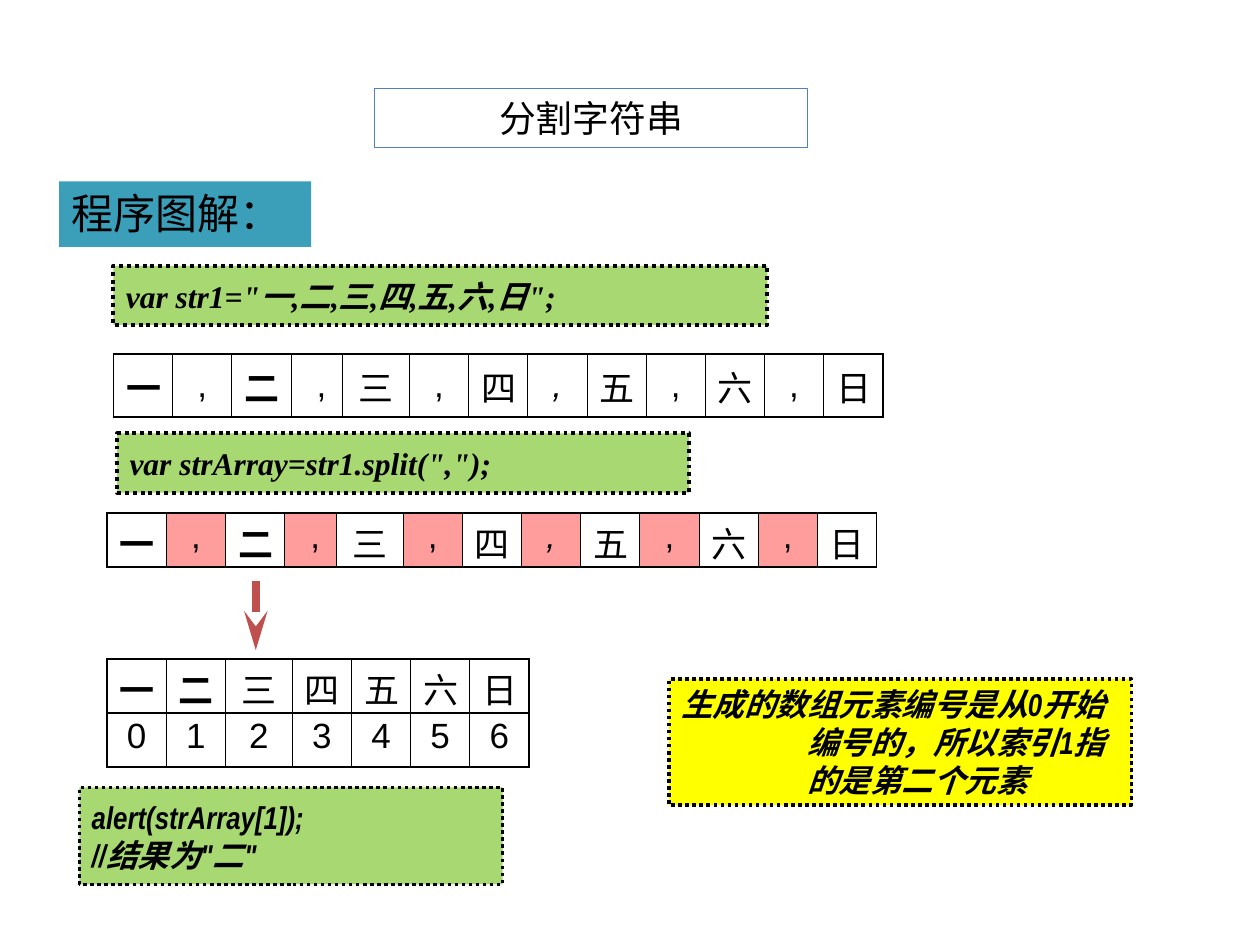
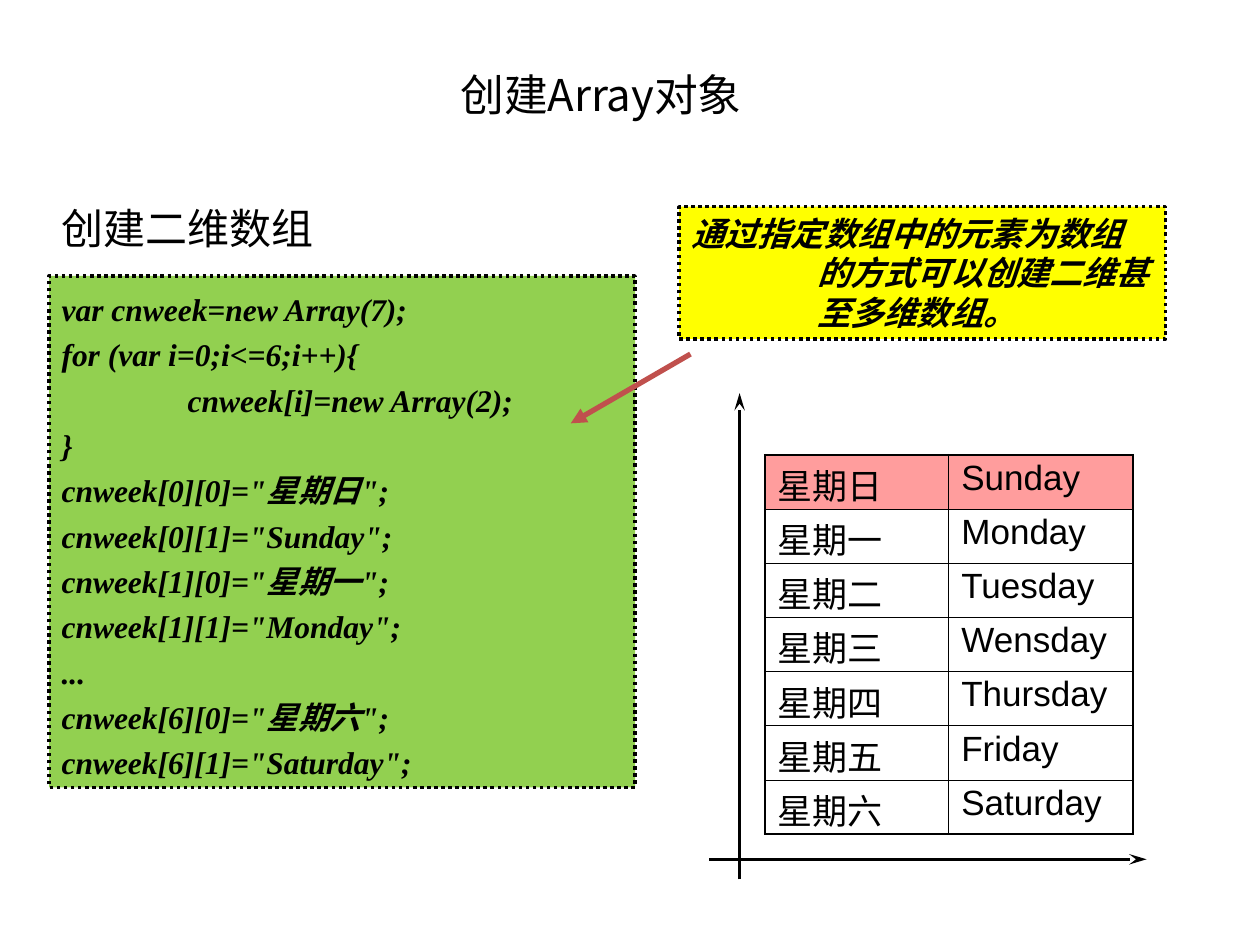
from dataclasses import dataclass
from typing import Optional

from lxml import etree
from pptx import Presentation
from pptx.dml.color import RGBColor
from pptx.enum.dml import MSO_LINE
from pptx.enum.shapes import MSO_CONNECTOR, MSO_SHAPE
from pptx.enum.text import MSO_ANCHOR, MSO_AUTO_SIZE, PP_ALIGN
from pptx.oxml.ns import qn
from pptx.util import Inches, Pt

DOTTED = MSO_LINE.ROUND_DOT
STRAIGHT = MSO_CONNECTOR.STRAIGHT
RECT = MSO_SHAPE.RECTANGLE
TOP, MIDDLE = MSO_ANCHOR.TOP, MSO_ANCHOR.MIDDLE
LEFT, CENTER = PP_ALIGN.LEFT, PP_ALIGN.CENTER
NO_FIT = MSO_AUTO_SIZE.NONE


@dataclass(frozen=True)
class Theme:
    black: str = "000000"
    white: str = "FFFFFF"
    title_line: str = "4F81BD"
    heading: str = "3B9FBA"
    code: str = "A7D872"
    listing: str = "92D050"
    note: str = "FFFF00"
    marked: str = "FF9D9D"
    arrow: str = "C0504D"
    title_font: str = "Noto Sans CJK SC"
    code_font: str = "Times New Roman"
    note_font: str = "Arial Narrow"
    table_font: str = "Arial"
    heading_size: float = 24
    code_size: float = 18
    table_size: float = 20
    outer_border: float = 1.08
    inner_border: float = 0.45


T = Theme()


@dataclass(frozen=True)
class Box:
    left: float
    top: float
    width: float
    height: float

    def lengths(self) -> list:
        return [Inches(v) for v in (self.left, self.top, self.width, self.height)]


@dataclass(frozen=True)
class Panel:
    box: Box
    lines: tuple
    fill: str = T.code
    font: str = T.code_font
    size: float = T.code_size
    line_width: float = 2
    anchor: MSO_ANCHOR = MIDDLE
    spacing: Optional[float] = None


@dataclass(frozen=True)
class Grid:
    left: float
    top: float
    widths: tuple
    rows: tuple
    row_height: float = 0.43
    align: PP_ALIGN = CENTER
    anchor: MSO_ANCHOR = TOP
    margin_top: float = 0.03
    margin_bottom: float = 0
    row_border: float = T.inner_border
    marked: frozenset = frozenset()
    bold: frozenset = frozenset()
    italic: frozenset = frozenset()


@dataclass(frozen=True)
class Arrow:
    start: tuple
    end: tuple
    color: str = T.black
    width: float = 2
    head: str = "stealth"
    length: str = "lg"


def rgb(value: str) -> RGBColor:
    return RGBColor.from_string(value)


def style(p, font: str, size: float, bold: bool = False, italic: bool = False) -> None:
    p.font.name = font
    p.font.size = Pt(size)
    p.font.bold = bold
    p.font.italic = italic
    p.font.color.rgb = rgb(T.black)


def hang(p, indent: float) -> None:
    pPr = p._p.get_or_add_pPr()
    pPr.set("marL", str(Inches(indent)))
    pPr.set("indent", str(-Inches(indent)))


def add_title(slide, box: Box, text: str, size: float, framed: bool = False) -> None:
    sp = slide.shapes.title
    sp.left, sp.top, sp.width, sp.height = box.lengths()
    if framed:
        sp.fill.solid()
        sp.fill.fore_color.rgb = rgb(T.white)
        sp.line.color.rgb = rgb(T.title_line)
        sp.line.width = Pt(0.75)
    tf = sp.text_frame
    tf.text = text
    tf.word_wrap = True
    tf.auto_size = NO_FIT
    tf.vertical_anchor = MIDDLE
    p = tf.paragraphs[0]
    p.alignment = CENTER
    style(p, T.title_font, size)


def add_heading(slide, box: Box, text: str, fill: Optional[str] = None) -> None:
    sp = slide.shapes.add_textbox(*box.lengths())
    if fill:
        sp.fill.solid()
        sp.fill.fore_color.rgb = rgb(fill)
    tf = sp.text_frame
    tf.word_wrap = True
    tf.text = text
    p = tf.paragraphs[0]
    hang(p, 0.38)
    style(p, T.title_font, T.heading_size)


def add_panel(slide, panel: Panel) -> None:
    sp = slide.shapes.add_shape(RECT, *panel.box.lengths())
    sp.shadow.inherit = False
    sp.fill.solid()
    sp.fill.fore_color.rgb = rgb(panel.fill)
    sp.line.color.rgb = rgb(T.black)
    sp.line.width = Pt(panel.line_width)
    sp.line.dash_style = DOTTED
    tf = sp.text_frame
    tf.word_wrap = True
    tf.vertical_anchor = panel.anchor
    tf.text = "\n".join(panel.lines)
    for p in tf.paragraphs:
        p.alignment = LEFT
        if panel.spacing:
            p.line_spacing = panel.spacing
        hang(p, 1)
        style(p, panel.font, panel.size, bold=True, italic=True)


def add_border(cell, side: str, width: float) -> None:
    ln = etree.SubElement(cell._tc.get_or_add_tcPr(), qn(f"a:ln{side}"), w=str(Pt(width)))
    fill = etree.SubElement(ln, qn("a:solidFill"))
    etree.SubElement(fill, qn("a:srgbClr"), val=T.black)


def add_grid(slide, grid: Grid) -> None:
    n_rows, n_cols = len(grid.rows), len(grid.widths)
    box = Box(grid.left, grid.top, sum(grid.widths), n_rows * grid.row_height)
    table = slide.shapes.add_table(n_rows, n_cols, *box.lengths()).table
    table.first_row = table.horz_banding = False
    for column, width in zip(table.columns, grid.widths):
        column.width = Inches(width)
    for r, texts in enumerate(grid.rows):
        table.rows[r].height = Inches(grid.row_height)
        for c, text in enumerate(texts):
            cell = table.cell(r, c)
            cell.vertical_anchor = grid.anchor
            cell.margin_top = Inches(grid.margin_top)
            cell.margin_bottom = Inches(grid.margin_bottom)
            edges = {
                "L": T.outer_border if c == 0 else T.inner_border,
                "R": T.outer_border if c == n_cols - 1 else T.inner_border,
                "T": T.outer_border if r == 0 else grid.row_border,
                "B": T.outer_border if r == n_rows - 1 else grid.row_border,
            }
            for side, width in edges.items():
                add_border(cell, side, width)
            if (r, c) in grid.marked:
                cell.fill.solid()
                cell.fill.fore_color.rgb = rgb(T.marked)
            else:
                cell.fill.background()
            cell.text = text
            p = cell.text_frame.paragraphs[0]
            p.alignment = grid.align
            style(p, T.table_font, T.table_size, (r, c) in grid.bold, (r, c) in grid.italic)


def add_arrow(slide, arrow: Arrow) -> None:
    ends = [Inches(v) for v in (*arrow.start, *arrow.end)]
    cn = slide.shapes.add_connector(STRAIGHT, *ends)
    cn.line.color.rgb = rgb(arrow.color)
    cn.line.width = Pt(arrow.width)
    etree.SubElement(cn.line._get_or_add_ln(), qn("a:tailEnd"),
                     type=arrow.head, w="med", len=arrow.length)
    etree.SubElement(cn._element.spPr, qn("a:effectLst"))


def build_split(slide) -> None:
    add_title(slide, Box(2.97, 0.7, 3.44, 0.47), "分割字符串", 21, framed=True)
    add_heading(slide, Box(0.47, 1.44, 2, 0.52), "程序图解：", T.heading)

    days = "一二三四五六日"
    chars = list(",".join(days))
    chars[3] = " ,"
    char_widths = (0.47,) * 3 + (0.41, 0.53) + (0.47,) * 8
    bold, italic = frozenset({(0, 0), (0, 2)}), frozenset({(0, 7)})
    commas = frozenset((0, c) for c in range(1, len(chars), 2))

    add_grid(slide, Grid(0.9, 2.81, char_widths, (chars,), row_height=0.5, anchor=MIDDLE,
                         margin_top=0.05, margin_bottom=0.05, bold=bold, italic=italic))
    panels = (
        Panel(Box(0.9, 2.11, 5.19, 0.47), ('var str1="一,二,三,四,五,六,日";',), line_width=2.25),
        Panel(Box(0.93, 3.44, 4.54, 0.47), ('var strArray=str1.split(",");',), line_width=2.25),
        Panel(Box(0.63, 6.25, 3.36, 0.77), ("alert(strArray[1]);", '//结果为"二"'),
              font=T.note_font),
        Panel(Box(5.31, 5.39, 3.67, 1), ("生成的数组元素编号是从0开始编号的，所以索引1指的是第二个元素",),
              fill=T.note, font=T.note_font, anchor=TOP),
    )
    for panel in panels:
        add_panel(slide, panel)
    add_grid(slide, Grid(0.85, 4.07, char_widths, (chars,),
                         marked=commas, bold=bold, italic=italic))
    add_arrow(slide, Arrow((2.03, 4.61), (2.03, 5.16), T.arrow, 4.5))
    add_grid(slide, Grid(0.85, 5.23, (0.47,) * 2 + (0.53,) + (0.47,) * 4,
                         (days, "0123456"), row_border=T.outer_border,
                         bold=frozenset({(0, 0), (0, 1)})))


def build_array(slide) -> None:
    add_title(slide, Box(2.58, 0.47, 4.38, 0.55), "创建Array对象", 25)
    add_heading(slide, Box(0.39, 1.56, 3.48, 0.52), "创建二维数组")
    code = (
        "var cnweek=new Array(7);",
        "for (var i=0;i<=6;i++){",
        "\tcnweek[i]=new Array(2);",
        "}",
        'cnweek[0][0]="星期日";',
        'cnweek[0][1]="Sunday";',
        'cnweek[1][0]="星期一";',
        'cnweek[1][1]="Monday";',
        "...",
        'cnweek[6][0]="星期六";',
        'cnweek[6][1]="Saturday";',
    )
    add_panel(slide, Panel(Box(0.39, 2.19, 4.65, 4.06), code, fill=T.listing, spacing=1.2))
    add_arrow(slide, Arrow((5.48, 2.81), (4.53, 3.36), T.arrow, 3, "triangle", "med"))
    add_panel(slide, Panel(Box(5.39, 1.64, 3.86, 1.05),
                           ("通过指定数组中的元素为数组的方式可以创建二维甚至多维数组。",),
                           fill=T.note, font=T.note_font, size=19, anchor=TOP))
    add_arrow(slide, Arrow((5.63, 6.82), (9.1, 6.82)))
    add_arrow(slide, Arrow((5.87, 6.98), (5.87, 3.12)))
    english = ("Sunday", "Monday", "Tuesday", "Wensday", "Thursday", "Friday", "Saturday")
    week = tuple((f"星期{day}", name) for day, name in zip("日一二三四五六", english))
    add_grid(slide, Grid(6.07, 3.61, (1.46, 1.46), week, align=LEFT,
                         marked=frozenset({(0, 0), (0, 1)})))


def main() -> None:
    prs = Presentation()
    prs.slide_width, prs.slide_height = Inches(10), Inches(7.5)
    for build in (build_split, build_array):
        build(prs.slides.add_slide(prs.slide_layouts[5]))
    prs.save("out.pptx")


if __name__ == "__main__":
    main()
